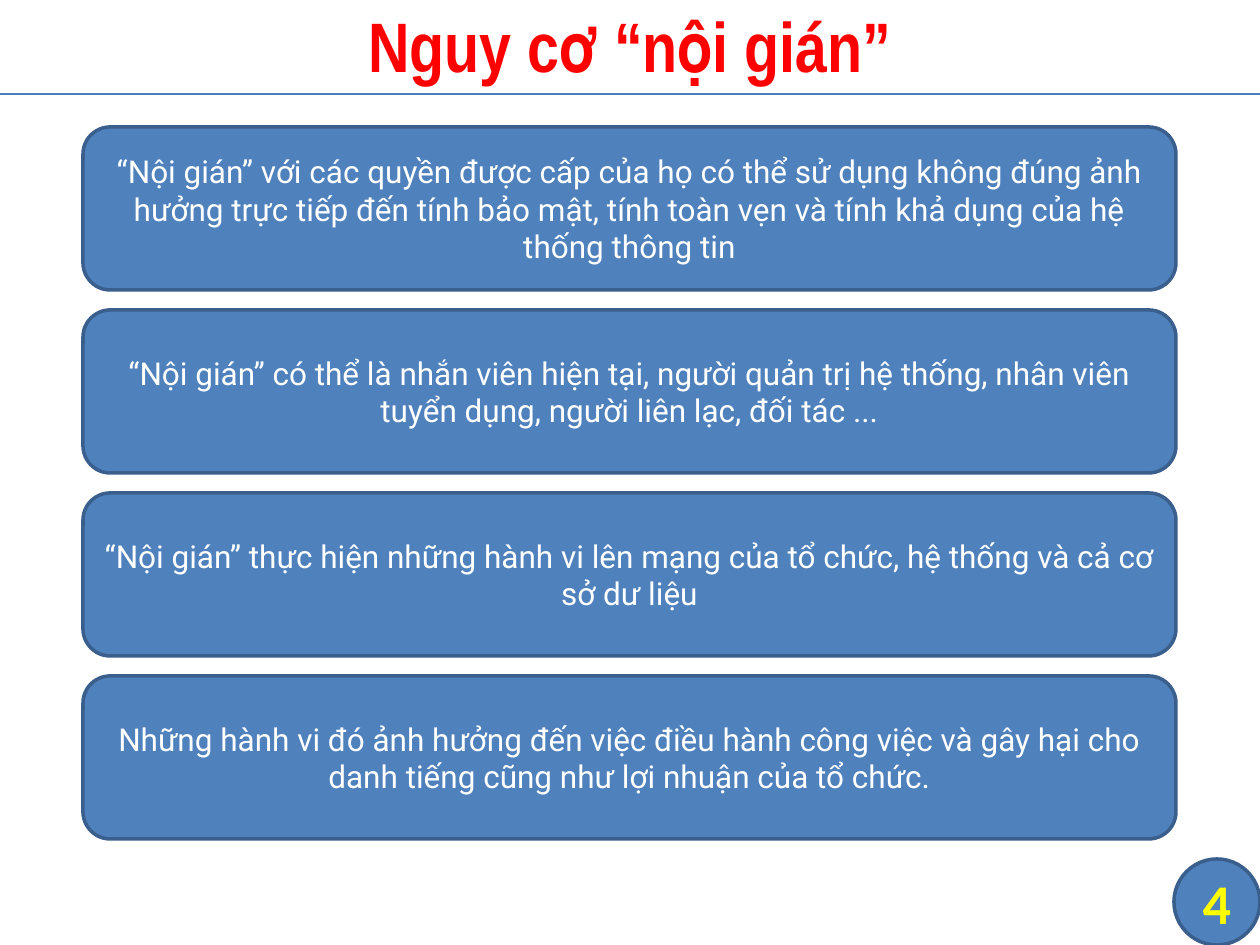
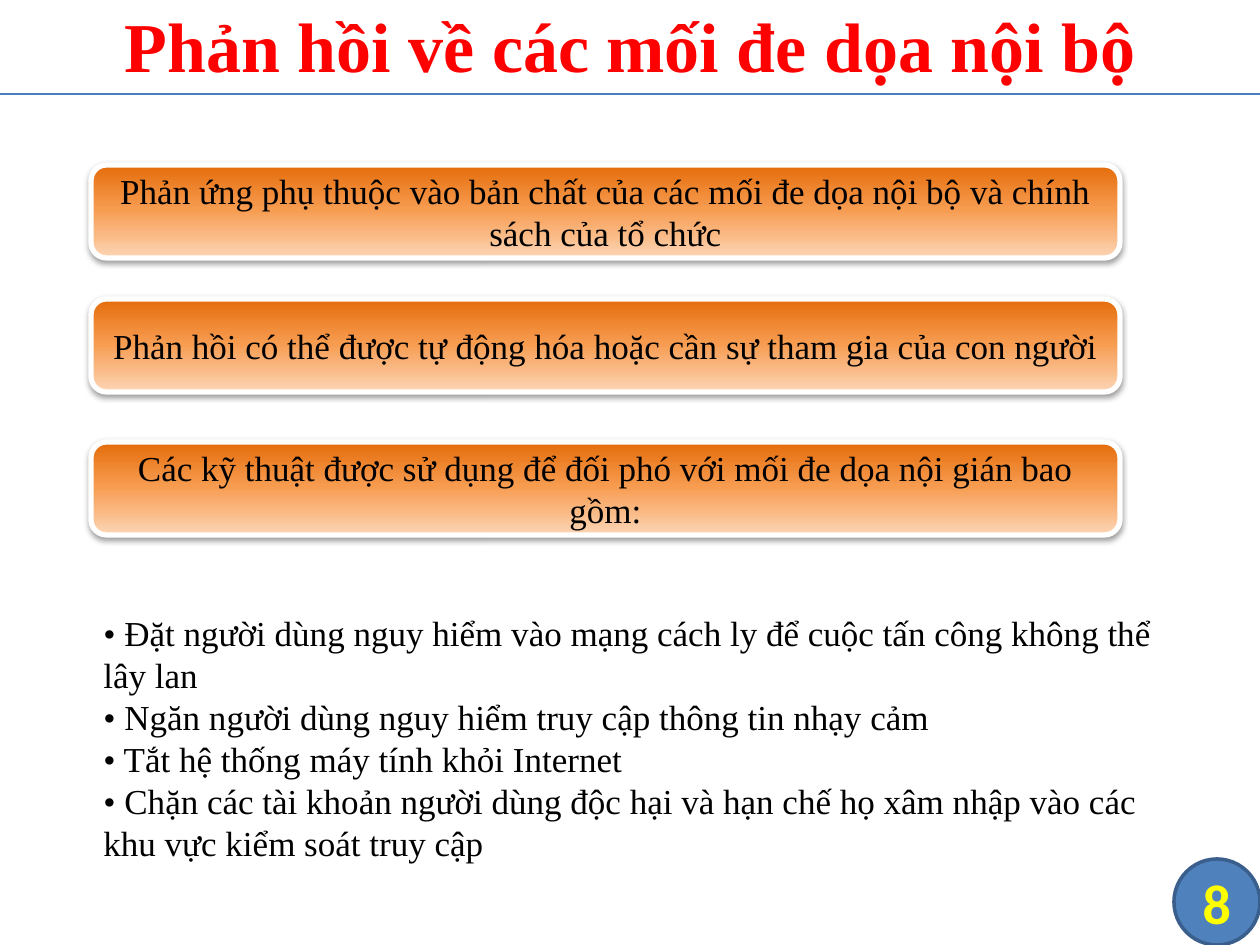
from dataclasses import dataclass

from lxml.etree import SubElement
from pptx import Presentation
from pptx.dml.color import RGBColor
from pptx.enum.shapes import MSO_CONNECTOR, MSO_SHAPE
from pptx.enum.text import MSO_ANCHOR, MSO_AUTO_SIZE, PP_ALIGN
from pptx.oxml.ns import qn
from pptx.util import Pt

EMU_PER_PX = 914400 / 126
SLIDE_WIDTH, SLIDE_HEIGHT = 1260, 945
TITLE_ONLY = 5


def px(*lengths):
    return [round(length * EMU_PER_PX) for length in lengths]


def rgb(value):
    return RGBColor.from_string(value)


@dataclass(frozen=True)
class Theme:
    title_color: str = "FF0000"
    blue: str = "4F81BD"
    blue_edge: str = "3A5F8C"
    rule: str = "4B7EBC"
    number_color: str = "FFFF00"
    light: str = "FFFFFF"
    dark: str = "000000"
    orange_stops: tuple = ((0, "FCD5B5"), (53, "F79B4F"), (100, "E46C0A"))
    heading_font: str = "Arial Narrow"
    serif: str = "Times New Roman"
    sans: str = "Roboto"
    number_font: str = "Calibri"
    title_size: int = 40
    number_size: int = 32
    body_size: int = 20
    card_size: int = 18


class Deck:
    def __init__(self, theme):
        self.theme = theme
        self.presentation = Presentation()
        (self.presentation.slide_width,
         self.presentation.slide_height) = px(SLIDE_WIDTH, SLIDE_HEIGHT)
        self.slide = None

    def start_slide(self, title, number, title_font):
        layout = self.presentation.slide_layouts[TITLE_ONLY]
        self.slide = self.presentation.slides.add_slide(layout)
        self.title(title, title_font)
        self.rule(94)
        self.number_badge(number)

    def set_text(self, frame, lines, font, size, color, bold=False,
                 align=PP_ALIGN.CENTER, anchor=MSO_ANCHOR.MIDDLE):
        frame.text = "\n".join(lines)
        frame.word_wrap = True
        frame.vertical_anchor = anchor
        for paragraph in frame.paragraphs:
            paragraph.alignment = align
            for run in paragraph.runs:
                run.font.name = font
                run.font.size = Pt(size)
                run.font.bold = bold
                run.font.color.rgb = rgb(color)

    def title(self, text, font):
        heading = self.slide.shapes.title
        heading.left, heading.top, heading.width, heading.height = px(
            0, -4, SLIDE_WIDTH, 98)
        self.set_text(heading.text_frame, [text], font, self.theme.title_size,
                      self.theme.title_color, bold=True)
        heading.text_frame.auto_size = MSO_AUTO_SIZE.NONE

    def rule(self, y):
        line = self.slide.shapes.add_connector(
            MSO_CONNECTOR.STRAIGHT, *px(0, y, SLIDE_WIDTH, y))
        line.line.color.rgb = rgb(self.theme.rule)
        line.line.width = Pt(0.75)
        SubElement(line._element.spPr, qn("a:effectLst"))

    def shape(self, preset, box, edge, edge_width):
        shape = self.slide.shapes.add_shape(preset, *px(*box))
        shape.line.color.rgb = rgb(edge)
        shape.line.width = Pt(edge_width)
        shape.shadow.inherit = False
        return shape

    def blue_shape(self, preset, box):
        shape = self.shape(preset, box, self.theme.blue_edge, 2)
        shape.fill.solid()
        shape.fill.fore_color.rgb = rgb(self.theme.blue)
        return shape

    def number_badge(self, number):
        side = 86
        badge = self.blue_shape(
            MSO_SHAPE.FLOWCHART_CONNECTOR,
            (SLIDE_WIDTH - side, SLIDE_HEIGHT - side, side, side))
        frame = badge.text_frame
        frame.margin_left = frame.margin_right = 0
        frame.margin_top = frame.margin_bottom = 0
        self.set_text(frame, [str(number)], self.theme.number_font,
                      self.theme.number_size, self.theme.number_color,
                      bold=True)

    def blue_card(self, text, box):
        card = self.blue_shape(MSO_SHAPE.ROUNDED_RECTANGLE, box)
        self.set_text(card.text_frame, [text], self.theme.sans,
                      self.theme.card_size, self.theme.light)

    def orange_card(self, text, box):
        card = self.shape(MSO_SHAPE.ROUNDED_RECTANGLE, box, self.theme.light, 3)
        self.orange_gradient(card)
        self.soft_shadow(card)
        self.set_text(card.text_frame, [text], self.theme.serif,
                      self.theme.body_size, self.theme.dark)

    def orange_gradient(self, shape):
        """Fill with the theme's stops, running from bottom to top."""
        shape.fill.gradient()
        shape.fill.gradient_angle = 90
        stops = shape._element.spPr.find(".//" + qn("a:gsLst"))
        for stop in list(stops):
            stops.remove(stop)
        for percent, color in self.theme.orange_stops:
            stop = SubElement(stops, qn("a:gs"), pos=str(percent * 1000))
            SubElement(stop, qn("a:srgbClr"), val=color)

    def soft_shadow(self, shape):
        """Add a blurred shadow just below the shape."""
        effects = shape._element.spPr.find(qn("a:effectLst"))
        shadow = SubElement(
            effects, qn("a:outerShdw"), blurRad=str(Pt(3.1)),
            dist=str(Pt(1.6)), dir="5400000", rotWithShape="0")
        color = SubElement(shadow, qn("a:srgbClr"), val=self.theme.dark)
        SubElement(color, qn("a:alpha"), val="38000")

    def text_block(self, lines, box):
        block = self.slide.shapes.add_textbox(*px(*box))
        self.set_text(block.text_frame, lines, self.theme.serif,
                      self.theme.body_size, self.theme.dark,
                      align=PP_ALIGN.LEFT, anchor=MSO_ANCHOR.TOP)
        block.text_frame.auto_size = MSO_AUTO_SIZE.SHAPE_TO_FIT_TEXT


INSIDER_RISKS = (
    "“Nội gián” với các quyền được cấp của họ có thể sử dụng không đúng ảnh "
    "hưởng trực tiếp đến tính bảo mật, tính toàn vẹn và tính khả dụng của hệ "
    "thống thông tin",
    "“Nội gián” có thể là nhắn viên hiện tại, người quản trị hệ thống, nhân "
    "viên tuyển dụng, người liên lạc, đối tác ...",
    "“Nội gián” thực hiện những hành vi lên mạng của tổ chức, hệ thống và cả "
    "cơ sở dư liệu",
    "Những hành vi đó ảnh hưởng đến việc điều hành công việc và gây hại cho "
    "danh tiếng cũng như lợi nhuận của tổ chức.",
)

RESPONSES_BY_TOP = {
    165: "Phản ứng phụ thuộc vào bản chất của các mối đe dọa nội bộ và chính "
         "sách của tổ chức",
    299: "Phản hồi có thể được tự động hóa hoặc cần sự tham gia của con người",
    442: "Các kỹ thuật được sử dụng để đối phó với mối đe dọa nội gián bao gồm:",
}

TECHNIQUES = (
    "• Đặt người dùng nguy hiểm vào mạng cách ly để cuộc tấn công không thể "
    "lây lan",
    "• Ngăn người dùng nguy hiểm truy cập thông tin nhạy cảm",
    "• Tắt hệ thống máy tính khỏi Internet",
    "• Chặn các tài khoản người dùng độc hại và hạn chế họ xâm nhập vào các "
    "khu vực kiểm soát truy cập",
)


def add_insider_risks(deck):
    deck.start_slide("Nguy cơ “nội gián”", 4, deck.theme.heading_font)
    first_top, pitch = 127, 183
    for row, risk in enumerate(INSIDER_RISKS):
        deck.blue_card(risk, (83, first_top + row * pitch, 1093, 163))


def add_threat_responses(deck):
    deck.start_slide("Phản hồi về các mối đe dọa nội bộ", 8, deck.theme.serif)
    for top, response in RESPONSES_BY_TOP.items():
        deck.orange_card(response, (91, top, 1029, 93))
    deck.text_block(TECHNIQUES, (91, 605, 1095, 267))


def main():
    deck = Deck(Theme())
    add_insider_risks(deck)
    add_threat_responses(deck)
    deck.presentation.save("out.pptx")


if __name__ == "__main__":
    main()
